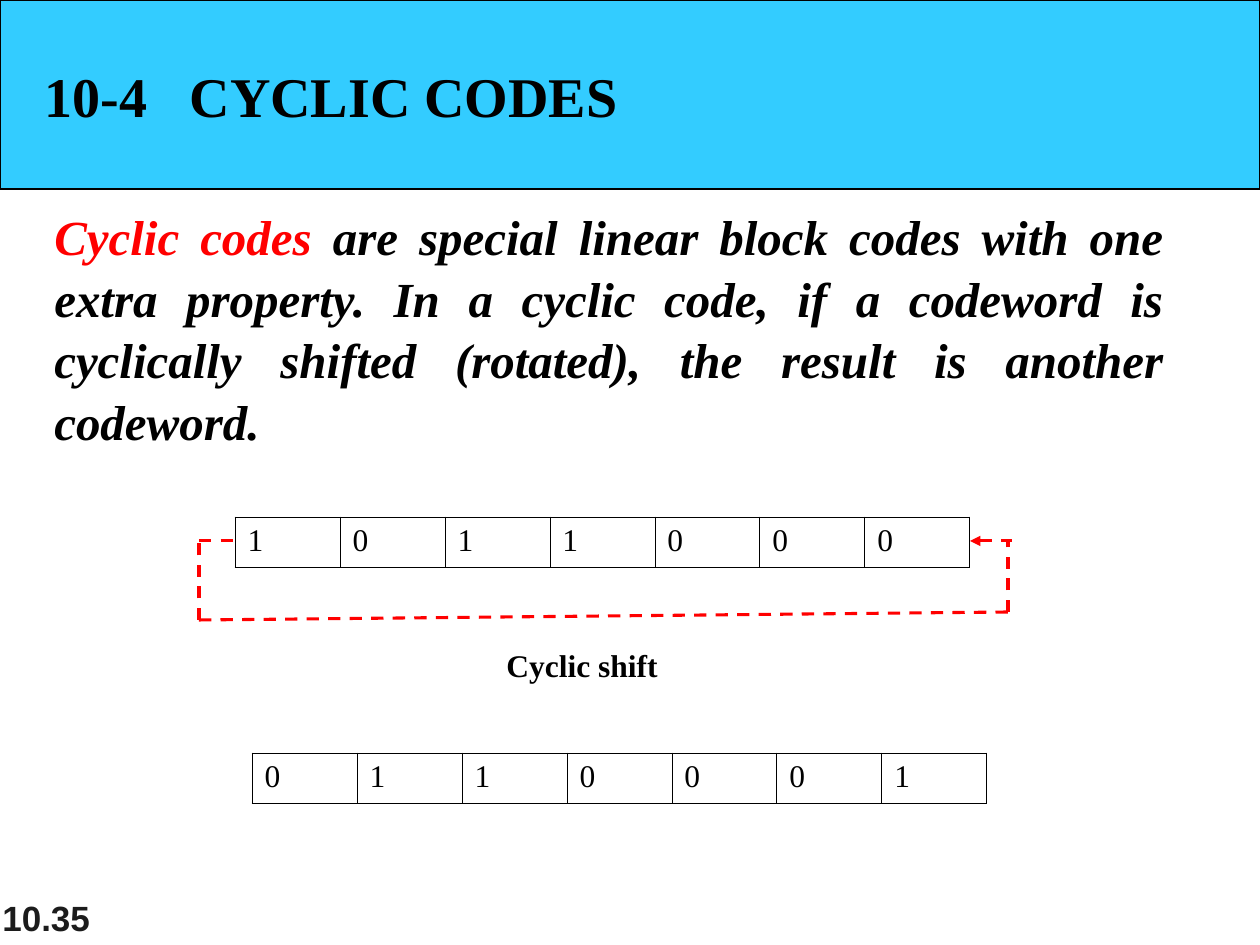
from lxml.etree import SubElement
from pptx import Presentation
from pptx.dml.color import RGBColor
from pptx.enum.dml import MSO_LINE
from pptx.enum.shapes import MSO_CONNECTOR, MSO_SHAPE
from pptx.enum.text import MSO_ANCHOR, MSO_AUTO_SIZE, PP_ALIGN
from pptx.oxml.ns import qn
from pptx.util import Emu, Pt

PX = 914400 / 126
SLIDE_WIDTH, SLIDE_HEIGHT = 1260, 945
COLUMN_WIDTH, ROW_HEIGHT = 105, 50
SHIFT_LEFT, SHIFT_RIGHT, SHIFT_TOP = 199, 1008, 541

BLACK = RGBColor(0x00, 0x00, 0x00)
RED = RGBColor(0xFF, 0x00, 0x00)
SKY = RGBColor(0x33, 0xCC, 0xFF)
CHARCOAL = RGBColor(0x1C, 0x1C, 0x1C)


def px(length):
    return Emu(round(length * PX))


def add_run(paragraph, text, size, color=BLACK, font="Times New Roman", bold=True, italic=False):
    run = paragraph.add_run()
    run.text = text
    run.font.name = font
    run.font.size = Pt(size)
    run.font.bold = bold
    run.font.italic = italic
    run.font.color.rgb = color


def add_text_box(slide, left, top, width, height, anchor=MSO_ANCHOR.TOP):
    frame = slide.shapes.add_textbox(px(left), px(top), px(width), px(height)).text_frame
    frame.word_wrap = True
    frame.vertical_anchor = anchor
    return frame.paragraphs[0]


def add_title(slide):
    title = slide.shapes.title
    title.left, title.top, title.width, title.height = px(32), px(55), px(599), px(81)
    frame = title.text_frame
    frame.word_wrap = False
    frame.auto_size = MSO_AUTO_SIZE.NONE
    frame.vertical_anchor = MSO_ANCHOR.TOP
    heading = frame.paragraphs[0]
    heading.alignment = PP_ALIGN.LEFT
    tabs = SubElement(heading._p.get_or_add_pPr(), qn("a:tabLst"))
    SubElement(tabs, qn("a:tab"), pos=str(px(145)), algn="l")
    add_run(heading, "10-4\tCYCLIC CODES", 32)
    return title


def add_title_band(slide, title):
    band = slide.shapes.add_shape(MSO_SHAPE.RECTANGLE, 0, 0, px(SLIDE_WIDTH), px(189))
    band.shadow.inherit = False
    band.fill.solid()
    band.fill.fore_color.rgb = SKY
    band.line.color.rgb = BLACK
    band.line.width = Pt(0.75)
    title.element.addprevious(band.element)


def add_cell_borders(cell):
    properties = cell._tc.get_or_add_tcPr()
    for side in ("lnL", "lnR", "lnT", "lnB"):
        border = SubElement(properties, qn(f"a:{side}"), w=str(Pt(0.45)))
        fill = SubElement(border, qn("a:solidFill"))
        SubElement(fill, qn("a:srgbClr"), val=str(BLACK))


def add_codeword(slide, left, top, bits):
    width = COLUMN_WIDTH * len(bits)
    table = slide.shapes.add_table(
        1, len(bits), px(left), px(top), px(width), px(ROW_HEIGHT)
    ).table
    table.first_row = False
    table.horz_banding = False
    for column, bit in enumerate(bits):
        table.columns[column].width = px(COLUMN_WIDTH)
        cell = table.cell(0, column)
        add_cell_borders(cell)
        cell.fill.background()
        add_run(cell.text_frame.paragraphs[0], bit, 18, bold=False)


def add_shift_line(slide, start, end, arrow=False):
    ends = [px(length) for length in (*start, *end)]
    connector = slide.shapes.add_connector(MSO_CONNECTOR.STRAIGHT, *ends)
    connector.line.color.rgb = RED
    connector.line.width = Pt(1.75)
    connector.line.dash_style = MSO_LINE.DASH
    if arrow:
        SubElement(connector.line._get_or_add_ln(), qn("a:headEnd"), type="triangle")
    SubElement(connector.element.spPr, qn("a:effectLst"))


def add_shift_path(slide):
    lower_left = (SHIFT_LEFT, 620)
    lower_right = (SHIFT_RIGHT, 612)
    upper_left = (SHIFT_LEFT, SHIFT_TOP)
    add_shift_line(slide, lower_left, lower_right)
    add_shift_line(slide, lower_left, upper_left)
    add_shift_line(slide, lower_right, (SHIFT_RIGHT, SHIFT_TOP))
    add_shift_line(slide, upper_left, (242, SHIFT_TOP))
    add_shift_line(slide, (970, SHIFT_TOP), (1012, SHIFT_TOP), arrow=True)


def main():
    presentation = Presentation()
    presentation.slide_width = px(SLIDE_WIDTH)
    presentation.slide_height = px(SLIDE_HEIGHT)
    slide = presentation.slides.add_slide(presentation.slide_layouts[5])

    title = add_title(slide)
    add_title_band(slide, title)

    page_number = add_text_box(slide, -10, 882, 262, 63, MSO_ANCHOR.BOTTOM)
    add_run(page_number, "10.35", 20, CHARCOAL, "Arial")

    definition = add_text_box(slide, 42, 203, 1134, 248, MSO_ANCHOR.MIDDLE)
    definition.alignment = PP_ALIGN.JUSTIFY
    definition.line_spacing = 1.05
    add_run(definition, "Cyclic codes", 28, RED, italic=True)
    add_run(
        definition,
        " are special linear block codes with one extra property. In a cyclic code, "
        "if a codeword is cyclically shifted (rotated), the result is another codeword.",
        28,
        italic=True,
    )

    codeword = "1011000"
    add_codeword(slide, 235, 517, codeword)
    add_codeword(slide, 252, 753, codeword[1:] + codeword[0])
    add_shift_path(slide)
    add_run(add_text_box(slide, 494, 640, 220, 50), "Cyclic shift", 18)

    presentation.save("out.pptx")


if __name__ == "__main__":
    main()
